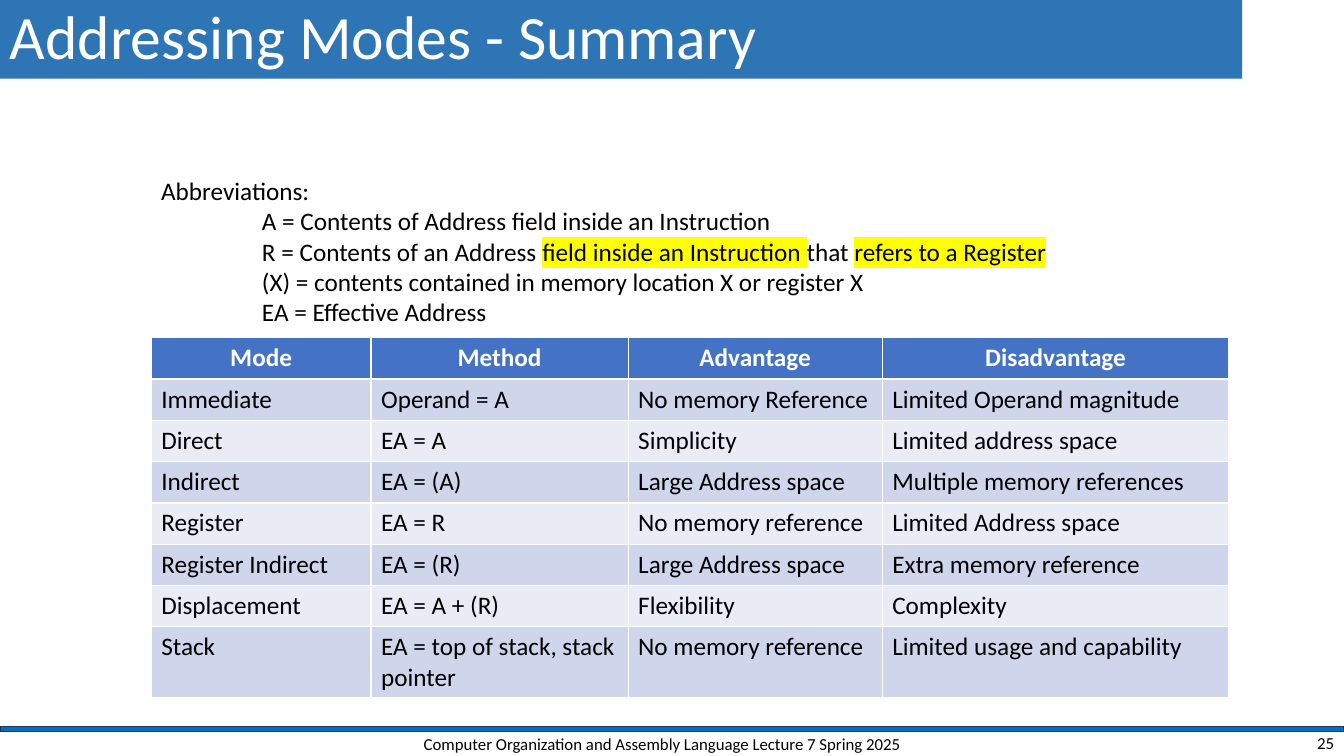
from lxml import etree
from pptx import Presentation
from pptx import util as u
from pptx.dml.color import RGBColor
from pptx.enum import shapes, text
from pptx.oxml.ns import qn

WIDTH, HEIGHT = 13.33, 7.5
FONT = "Calibri"
COLORS = {
    "title": "2E75B6", "rule": "0070C0", "rule edge": "1E3256",
    "header": "4472C4", "odd row": "CFD5EA", "even row": "E9EBF5",
    "light": "FFFFFF", "dark": "000000", "marker": "FFFF00",
}
LEFT = u.Inches(1.5)  # shared left edge of abbreviations and table
COLUMN_WIDTHS = (2.18, 2.55, 2.52, 3.44)
ROW_HEIGHT, LAST_ROW_HEIGHT = 0.41, 0.69

# Each line is a list of (words, highlighted) pieces
ABBREVIATIONS = [
    [("Abbreviations:", False)],
    [("A = Contents of Address field inside an Instruction", False)],
    [("R = Contents of an Address ", False),
     ("field inside an Instruction ", True),
     ("that ", False),
     ("refers to a Register", True)],
    [("(X) = contents contained in memory location X or register X", False)],
    [("EA = Effective Address", False)],
]
MODES = [
    ("Mode", "Method", "Advantage", "Disadvantage"),
    ("Immediate", "Operand = A", "No memory Reference", "Limited Operand magnitude"),
    ("Direct", "EA = A", "Simplicity", "Limited address space"),
    ("Indirect", "EA = (A)", "Large Address space", "Multiple memory references"),
    ("Register", "EA = R", "No memory reference", "Limited Address space"),
    ("Register Indirect", "EA = (R)", "Large Address space", "Extra memory reference"),
    ("Displacement", "EA = A + (R)", "Flexibility", "Complexity"),
    ("Stack", "EA = top of stack, stack pointer", "No memory reference",
     "Limited usage and capability"),
]


def rgb(name):
    return RGBColor.from_string(COLORS[name])


def style_paragraph(paragraph, size, color="dark", bold=False,
                    align=text.PP_ALIGN.LEFT):
    paragraph.alignment = align
    for run in paragraph.runs:
        run.font.size = u.Pt(size)
        run.font.name = FONT
        run.font.bold = bold
        run.font.color.rgb = rgb(color)


def highlight(run):
    """Put a marker colour behind a run that already has its font colour."""
    marker = etree.Element(qn("a:highlight"))
    etree.SubElement(marker, qn("a:srgbClr"), val=COLORS["marker"])
    run.font._element.find(qn("a:solidFill")).addnext(marker)


def add_bar(slide, top, width, height, fill, edge=None):
    bar = slide.shapes.add_shape(
        shapes.MSO_SHAPE.RECTANGLE, 0, u.Inches(top), u.Inches(width), u.Inches(height))
    bar.shadow.inherit = False
    bar.fill.solid()
    bar.fill.fore_color.rgb = rgb(fill)
    if edge:
        bar.line.color.rgb = rgb(edge)
        bar.line.width = u.Pt(1)
    else:
        bar.line.fill.background()
    return bar


def add_title(slide, words):
    banner = add_bar(slide, 0, 12.32, 0.78, "title")
    frame = banner.text_frame
    frame.text = words
    frame.vertical_anchor = text.MSO_ANCHOR.MIDDLE
    frame.paragraphs[0].line_spacing = 0.9
    style_paragraph(frame.paragraphs[0], 44, "light")


def add_footer_text(slide, words, left, width, height, align):
    box = slide.shapes.add_textbox(
        u.Inches(left), u.Inches(7.24), u.Inches(width), u.Inches(height))
    frame = box.text_frame
    frame.word_wrap = True
    frame.vertical_anchor = text.MSO_ANCHOR.MIDDLE
    frame.text = words
    style_paragraph(frame.paragraphs[0], 12, align=align)


def add_abbreviations(slide):
    box = slide.shapes.add_textbox(LEFT, u.Inches(1.69), u.Inches(9.08), u.Inches(1.62))
    frame = box.text_frame
    frame.word_wrap = True
    for number, pieces in enumerate(ABBREVIATIONS):
        line = frame.add_paragraph() if number else frame.paragraphs[0]
        for words, _ in pieces:
            line.add_run().text = words
        style_paragraph(line, 18)
        for run, (_, marked) in zip(line.runs, pieces):
            if marked:
                highlight(run)
        if number:  # definitions sit one inch in from the heading
            line._p.get_or_add_pPr().set("marL", str(u.Inches(1)))


def add_modes_table(slide):
    height = ROW_HEIGHT * (len(MODES) - 1) + LAST_ROW_HEIGHT
    table = slide.shapes.add_table(
        len(MODES), len(COLUMN_WIDTHS), LEFT, u.Inches(3.35),
        u.Inches(sum(COLUMN_WIDTHS)), u.Inches(height)).table
    for column, width in zip(table.columns, COLUMN_WIDTHS):
        column.width = u.Inches(width)
    for r, entries in enumerate(MODES):
        is_last = r == len(MODES) - 1
        table.rows[r].height = u.Inches(LAST_ROW_HEIGHT if is_last else ROW_HEIGHT)
        fill = "header" if r == 0 else "odd row" if r % 2 else "even row"
        for c, words in enumerate(entries):
            cell = table.cell(r, c)
            cell.text = words
            cell.fill.solid()
            cell.fill.fore_color.rgb = rgb(fill)
            paragraph = cell.text_frame.paragraphs[0]
            if r == 0:
                style_paragraph(paragraph, 18, "light", True, text.PP_ALIGN.CENTER)
            else:
                style_paragraph(paragraph, 18)


def main():
    deck = Presentation()
    deck.slide_width, deck.slide_height = u.Inches(WIDTH), u.Inches(HEIGHT)
    slide = deck.slides.add_slide(deck.slide_layouts[6])

    # Footer rule and title banner
    add_bar(slide, 7.21, WIDTH, 0.05, "rule", "rule edge")
    add_title(slide, "Addressing Modes - Summary")

    # Footer
    add_footer_text(
        slide, "Computer Organization and Assembly Language Lecture 7 Spring 2025",
        3.92, 5.3, 0.28, text.PP_ALIGN.CENTER)
    add_footer_text(slide, "25", WIDTH - 3, 3, 0.25, text.PP_ALIGN.RIGHT)

    # Content
    add_abbreviations(slide)
    add_modes_table(slide)

    deck.save("out.pptx")


main()
